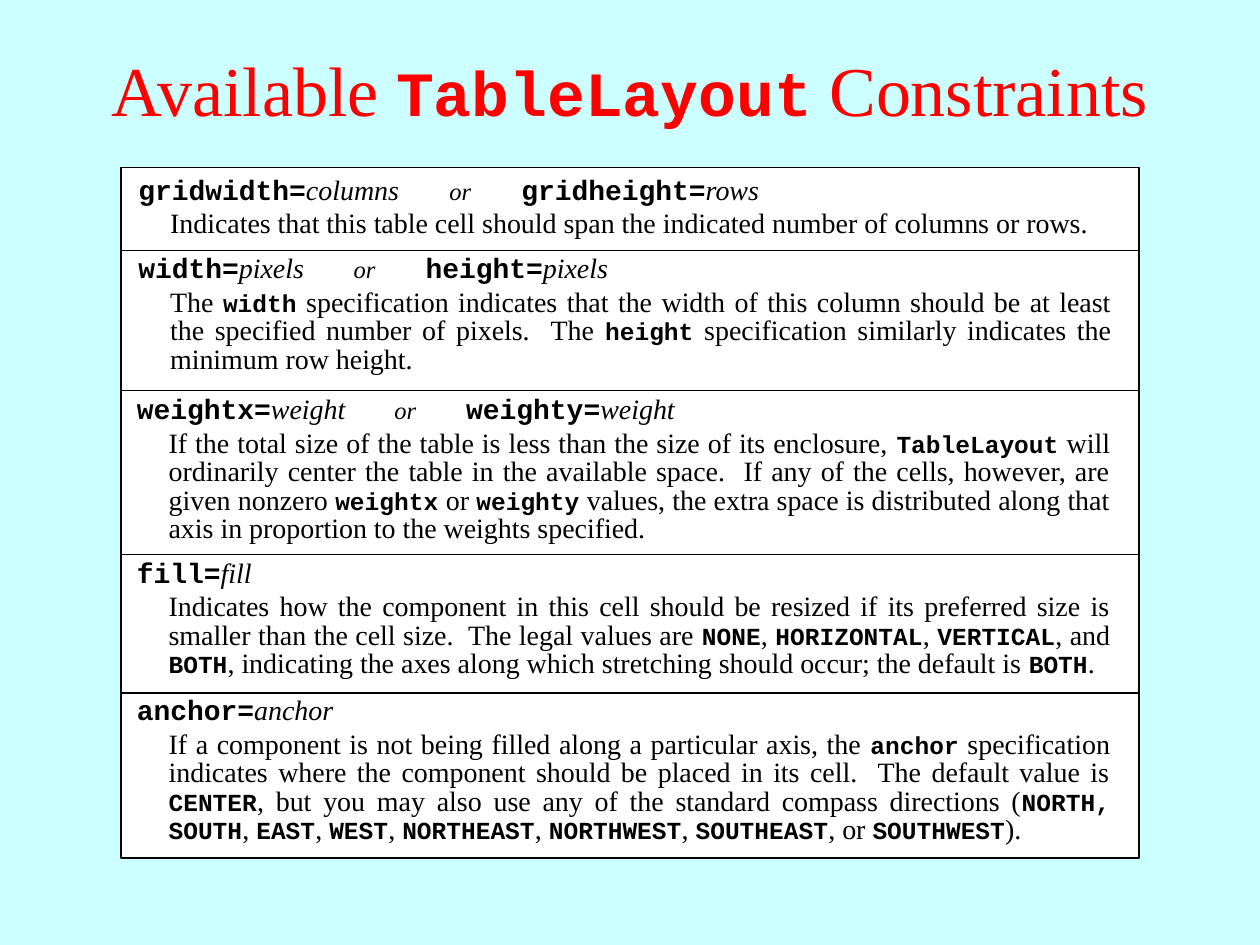
from pptx import Presentation
from pptx.dml.color import RGBColor
from pptx.enum.shapes import MSO_SHAPE
from pptx.enum.text import MSO_ANCHOR, MSO_AUTO_SIZE, PP_ALIGN
from pptx.oxml.ns import qn
from pptx.util import Cm, Pt
from lxml import etree

RECT = MSO_SHAPE.RECTANGLE
MIDDLE = MSO_ANCHOR.MIDDLE
FIXED, GROW = MSO_AUTO_SIZE.NONE, MSO_AUTO_SIZE.SHAPE_TO_FIT_TEXT
LEFT, CENTER, JUSTIFY = PP_ALIGN.LEFT, PP_ALIGN.CENTER, PP_ALIGN.JUSTIFY
CYAN = RGBColor(0xCC, 0xFF, 0xFF)
RED = RGBColor(0xFF, 0, 0)
WHITE = RGBColor(0xFF, 0xFF, 0xFF)
BLACK = RGBColor(0, 0, 0)
SERIF, MONO = "Times New Roman", "Courier New"

BOX_LEFT, BOX_WIDTH = 2.44, 20.52
HEAD_WIDTH, HEAD_HEIGHT = 20.32, 0.94
BODY_WIDTH, INDENT, DROP = 19.48, 0.64, 0.78
LINE, PAD, OR_GAP = 0.575, 0.26, 1.45
BOTTOM = 17.3

ROWS = [
    (3.38, 2.54, 3.35, 6.27, 1,
     [("gridwidth=", "columns"), ("gridheight=", "rows")],
     "Indicates that this table cell should span the indicated number of "
     "columns or rows."),
    (5.05, 2.54, 4.93, 4.34, 3,
     [("width=", "pixels"), ("height=", "pixels")],
     "The `width` specification indicates that the width of this column "
     "should be at least the specified number of pixels.  The `height` "
     "specification similarly indicates the minimum row height."),
    (7.87, 2.51, 7.77, 5.19, 4,
     [("weightx=", "weight"), ("weighty=", "weight")],
     "If the total size of the table is less than the size of its "
     "enclosure, `TableLayout` will ordinarily center the table in the "
     "available space.  If any of the cells, however, are given nonzero "
     "`weightx` or `weighty` values, the extra space is distributed along "
     "that axis in proportion to the weights specified."),
    (11.18, 2.51, 11.07, None, 3,
     [("fill=", "fill")],
     "Indicates how the component in this cell should be resized if its "
     "preferred size is smaller than the cell size.  The legal values are "
     "`NONE`, `HORIZONTAL`, `VERTICAL`, and `BOTH`, indicating the axes "
     "along which stretching should occur; the default is `BOTH`."),
    (13.97, 2.51, 13.84, None, 4,
     [("anchor=", "anchor")],
     "If a component is not being filled along a particular axis, the "
     "`anchor` specification indicates where the component should be placed "
     "in its cell.  The default value is `CENTER`, but you may also use any "
     "of the standard compass directions (`NORTH, SOUTH`, `EAST`, `WEST`, "
     "`NORTHEAST`, `NORTHWEST`, `SOUTHEAST`, or `SOUTHWEST`)."),
]


class Deck:
    def __init__(self):
        self.prs = Presentation()
        self.prs.slide_width, self.prs.slide_height = Cm(25.4), Cm(19.05)
        self.slide = self.prs.slides.add_slide(self.prs.slide_layouts[5])
        fill = self.slide.background.fill
        fill.solid()
        fill.fore_color.rgb = CYAN

    def run(self, para, text, size, color=BLACK, mono=False, italic=False):
        run = para.add_run()
        run.text = text
        font = run.font
        font.name = MONO if mono else SERIF
        font.size = Pt(size)
        font.bold, font.italic = mono, italic
        font.color.rgb = color

    def mixed(self, para, text, size, small, color=BLACK):
        for i, part in enumerate(text.split("`")):
            mono = i % 2 == 1
            self.run(para, part, small if mono else size, color, mono)

    def title(self, text):
        shape = self.slide.shapes.title
        shape.left, shape.top = Cm(0), Cm(0.2)
        shape.width, shape.height = Cm(25.4), Cm(3.18)
        frame = shape.text_frame
        frame.auto_size, frame.vertical_anchor = FIXED, MIDDLE
        para = frame.paragraphs[0]
        para.alignment = CENTER
        self.mixed(para, text, 40, 36, RED)

    def panel(self, group, top, height):
        box = group.shapes.add_shape(
            RECT, Cm(BOX_LEFT), Cm(top), Cm(BOX_WIDTH), Cm(height))
        box.shadow.inherit = False
        box.fill.solid()
        box.fill.fore_color.rgb = WHITE
        box.line.color.rgb = BLACK
        box.line.width = Pt(0.75)

    def text(self, group, left, top, width, height, align):
        box = group.shapes.add_textbox(
            Cm(left), Cm(top), Cm(width), Cm(height))
        frame = box.text_frame
        frame.word_wrap, frame.auto_size = True, GROW
        para = frame.paragraphs[0]
        para.alignment = align
        return para

    def tabs(self, para, stops):
        tabs = etree.SubElement(para._p.get_or_add_pPr(), qn("a:tabLst"))
        for stop in stops:
            etree.SubElement(tabs, qn("a:tab"), pos=str(Cm(stop)), algn="l")

    def head(self, group, left, top, stop, pairs):
        para = self.text(group, left, top, HEAD_WIDTH, HEAD_HEIGHT, LEFT)
        if stop:
            self.tabs(para, [stop, stop + OR_GAP])
        for i, (name, value) in enumerate(pairs):
            if i:
                self.run(para, "\tor\t", 14, italic=True)
            self.run(para, name, 16, mono=True)
            self.run(para, value, 16, italic=True)

    def body(self, group, left, top, lines, text):
        para = self.text(
            group, left, top, BODY_WIDTH, PAD + LINE * lines, JUSTIFY)
        para.line_spacing = 0.85
        self.mixed(para, text, 16, 14)

    def row(self, end, top, left, head_top, stop, lines, pairs, text):
        group = self.slide.shapes.add_group_shape()
        self.panel(group, top, end - top)
        self.head(group, left, head_top, stop, pairs)
        self.body(group, left + INDENT, head_top + DROP, lines, text)


def main():
    deck = Deck()
    deck.title("Available `TableLayout` Constraints")
    ends = [row[0] for row in ROWS[1:]] + [BOTTOM]
    for end, row in zip(ends, ROWS):
        deck.row(end, *row)
    deck.prs.save("out.pptx")


if __name__ == "__main__":
    main()
